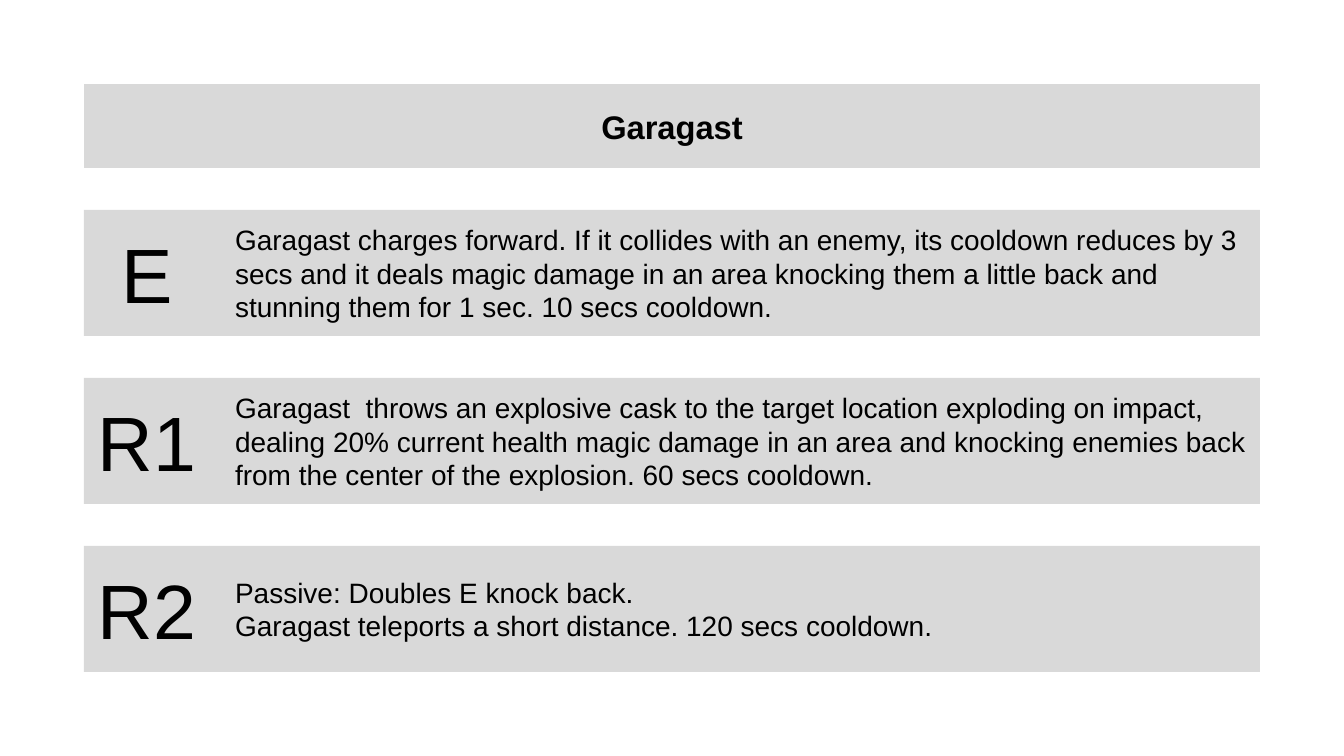
from pptx import Presentation
from pptx.dml.color import RGBColor
from pptx.enum.shapes import MSO_SHAPE
from pptx.enum.text import MSO_ANCHOR, MSO_AUTO_SIZE, PP_ALIGN
from pptx.util import Inches, Pt

RECT = MSO_SHAPE.RECTANGLE
MIDDLE = MSO_ANCHOR.MIDDLE
NO_FIT = MSO_AUTO_SIZE.NONE
LEFT, CENTER = PP_ALIGN.LEFT, PP_ALIGN.CENTER

COLORS = {"panel": "D9D9D9", "text": "000000"}
FRAME = {"word_wrap": True, "vertical_anchor": MIDDLE, "auto_size": NO_FIT}
TITLE_FONT = {"name": "Arial", "size": Pt(28), "bold": True}
KEY_FONT = {"name": "Arial", "size": Pt(66), "bold": False}
BODY_FONT = {"name": "Arial", "size": Pt(24), "bold": False}

MARGIN, WIDTH = 1, 14
TITLE_H = 1
ROW_TOP, ROW_H, ROW_GAP = 2.5, 1.5, 0.5
BODY_INDENT = 0.2

ABILITIES = [
    ("E", ["Garagast charges forward. If it collides with an enemy, its cooldown "
           "reduces by 3 secs and it deals magic damage in an area knocking them "
           "a little back and stunning them for 1 sec. 10 secs cooldown."]),
    ("R1", ["Garagast  throws an explosive cask to the target location exploding "
            "on impact, dealing 20% current health magic damage in an area and "
            "knocking enemies back from the center of the explosion. "
            "60 secs cooldown."]),
    ("R2", ["Passive: Doubles E knock back.",
            "Garagast teleports a short distance. 120 secs cooldown."]),
]


def set_attrs(obj, values):
    """Set each attribute of obj from a dict."""
    for name, value in values.items():
        setattr(obj, name, value)


def fill_panel(sp, lines, font, align, indent=0):
    """Give a shape the panel fill and its formatted paragraphs."""
    sp.fill.solid()
    sp.fill.fore_color.rgb = RGBColor.from_string(COLORS["panel"])
    sp.line.fill.background()
    tf = sp.text_frame
    set_attrs(tf, FRAME)
    for i, line in enumerate(lines):
        p = tf.add_paragraph() if i else tf.paragraphs[0]
        p.alignment = align
        if indent:
            pPr = p._p.get_or_add_pPr()
            pPr.set("marL", str(Inches(indent)))
            pPr.set("indent", "0")
        r = p.add_run()
        r.text = line
        set_attrs(r.font, font)
        r.font.color.rgb = RGBColor.from_string(COLORS["text"])


def add_title(s, x, y, w, h, text):
    """Place the title placeholder as a filled band in the box."""
    sp = s.shapes.title
    set_attrs(sp, {"left": Inches(x), "top": Inches(y),
                   "width": Inches(w), "height": Inches(h)})
    fill_panel(sp, [text], TITLE_FONT, CENTER)


def add_ability(s, x, y, w, h, key, lines):
    """Place a square key panel and its description in the box."""
    parts = [(x + h, w - h, lines, BODY_FONT, LEFT, BODY_INDENT),
             (x, h, [key], KEY_FONT, CENTER, 0)]
    for left, width, texts, font, align, indent in parts:
        sp = s.shapes.add_shape(RECT, Inches(left), Inches(y),
                                Inches(width), Inches(h))
        sp.shadow.inherit = False
        fill_panel(sp, texts, font, align, indent)


def build_character_slide(prs, name, abilities):
    """Add a slide with a name band and one row per ability."""
    s = prs.slides.add_slide(prs.slide_layouts[5])
    add_title(s, MARGIN, MARGIN, WIDTH, TITLE_H, name)
    for i, (key, lines) in enumerate(abilities):
        y = ROW_TOP + i * (ROW_H + ROW_GAP)
        add_ability(s, MARGIN, y, WIDTH, ROW_H, key, lines)


prs = Presentation()
set_attrs(prs, {"slide_width": Inches(16), "slide_height": Inches(9)})
build_character_slide(prs, "Garagast", ABILITIES)
prs.save("out.pptx")
